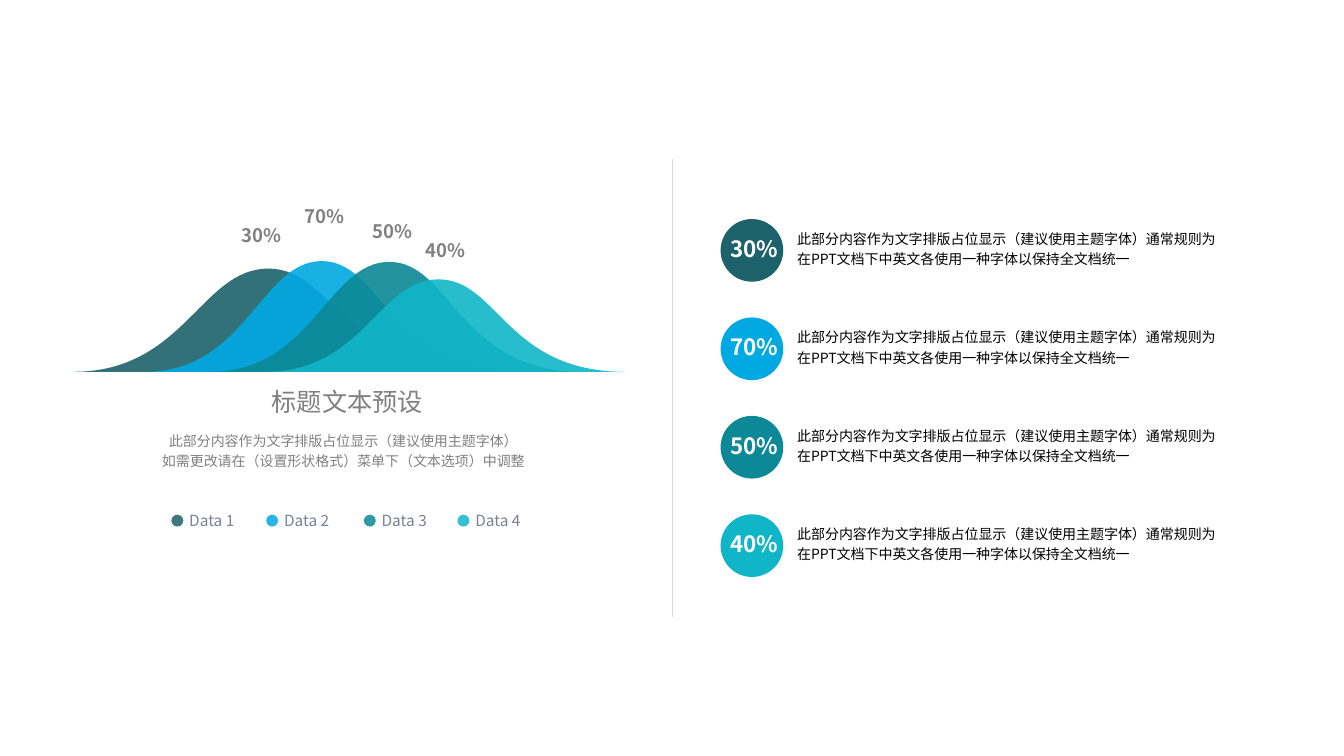
from dataclasses import dataclass

import pptx
import pptx.dml.color
import pptx.enum.shapes
import pptx.enum.text
import pptx.oxml
import pptx.oxml.ns
import pptx.util

Cm = pptx.util.Cm
qn = pptx.oxml.ns.qn
ALIGN = pptx.enum.text.PP_ALIGN
OVAL = pptx.enum.shapes.MSO_SHAPE.OVAL


@dataclass(frozen=True)
class Theme:
    font: str = "Noto Sans CJK SC"
    series: tuple = ("1D626A", "00A9E2", "0C8896", "10B6C8")
    grey: str = "808080"
    legend: str = "768394"
    black: str = "000000"
    white: str = "FFFFFF"
    rule: str = "D9D9D9"
    title_size: float = 18
    badge_size: float = 16
    peak_size: float = 13.3
    legend_size: float = 11
    body_size: float = 10


THEME = Theme()
SHARES = ("30%", "70%", "50%", "40%")
INTRO = "此部分内容作为文字排版占位显示（建议使用主题字体）\v如需更改请在（设置形状格式）菜单下（文本选项）中调整"
DETAIL = "此部分内容作为文字排版占位显示（建议使用主题字体）通常规则为在PPT文档下中英文各使用一种字体以保持全文档统一"

# Left foot, peak, right foot and height of each hill; label left and top (cm)
HILLS = (
    (0.70, 5.61, 10.89, 2.60, 4.69, 0.51),
    (2.51, 6.96, 11.75, 2.79, 6.27, 0.03),
    (4.16, 8.66, 13.51, 2.77, 7.98, 0.41),
    (5.53, 9.90, 14.60, 2.33, 9.32, 0.89),
)
LEGEND_LEFTS = (3.17, 5.56, 8.02, 10.38)


def rgb(color):
    return pptx.dml.color.RGBColor.from_string(color)


def element(tag, attributes=""):
    return pptx.oxml.parse_xml(
        f'<a:{tag} {pptx.oxml.ns.nsdecls("a")} {attributes}/>')


def add_text(slide, box, text, size, color, bold=False, align=ALIGN.LEFT,
             wrap=False, spacing=None, tight=False):
    sp = slide.shapes.add_textbox(*map(Cm, box))
    tf = sp.text_frame
    tf.word_wrap = wrap
    if tight:
        tf.margin_left = tf.margin_right = tf.margin_top = tf.margin_bottom = 0
        tf.vertical_anchor = pptx.enum.text.MSO_ANCHOR.MIDDLE
    elif not wrap and align == ALIGN.LEFT:
        tf.margin_right = 0  # room for the share on one line
    p = tf.paragraphs[0]
    p.text = text
    p.alignment = align
    p.line_spacing = spacing
    for r in p.runs:
        r.font.size = pptx.util.Pt(size)
        r.font.bold = bold
        r.font.color.rgb = rgb(color)
        r.font.name = THEME.font
        # East Asian typeface
        latin = r.font._element.find(qn("a:latin"))
        latin.addnext(element("ea", f'typeface="{THEME.font}"'))


def paint(sp, color, opacity=100):
    sp.shadow.inherit = False
    sp.line.fill.background()
    sp.fill.solid()
    sp.fill.fore_color.rgb = rgb(color)
    if opacity < 100:
        clr = sp._element.spPr.find(".//" + qn("a:srgbClr"))
        clr.append(element("alpha", f'val="{opacity * 1000}"'))


def add_dot(slide, left, top, size, color, opacity=100):
    sp = slide.shapes.add_shape(OVAL, Cm(left), Cm(top), Cm(size), Cm(size))
    paint(sp, color, opacity)


def add_hill(slide, start, peak, end, base, height, color):
    top = base - height
    rise, fall = peak - start, end - peak
    # Two cubic curves, three points each, then the base line
    points = (
        (start + 0.57 * rise, base), (start + 0.655 * rise, top), (peak, top),
        (peak + 0.32 * fall, top), (peak + 0.365 * fall, base), (end, base),
        (start, base),
    )
    fb = slide.shapes.build_freeform(Cm(start), Cm(base))
    fb.add_line_segments([(Cm(x), Cm(y)) for x, y in points], close=True)
    sp = fb.convert_to_shape()

    # Turn the first six segments into curves
    segments = list(sp._element.iter(qn("a:lnTo")))
    for i in (0, 3):
        curve = element("cubicBezTo")
        segments[i].addprevious(curve)
        for segment in segments[i:i + 3]:
            curve.append(segment[0])
            segment.getparent().remove(segment)
    paint(sp, color, 90)


def add_chart_panel(slide, left, top, width):
    # Heading and introduction
    add_text(slide, (left, top + 5.69, width, 1.47), INTRO, THEME.body_size,
             THEME.grey, align=ALIGN.CENTER, wrap=True, spacing=1.2)
    add_text(slide, (left + 5.42, top + 4.62, 4.37, 1.02), "标题文本预设",
             THEME.title_size, THEME.grey, align=ALIGN.CENTER)

    # Overlapping hills
    for (start, peak, end, height, _, _), color in zip(HILLS, THEME.series):
        add_hill(slide, left + start, left + peak, left + end,
                 top + 4.37, height, color)

    # Peak labels
    for (*_, x, y), share in zip(HILLS, SHARES):
        add_text(slide, (left + x, top + y, 1.47, 0.84), share,
                 THEME.peak_size, THEME.grey, bold=True)

    # Legend
    for i, (x, color) in enumerate(zip(LEGEND_LEFTS, THEME.series), 1):
        add_dot(slide, left + x, top + 7.97, 0.3, color, 85)
        add_text(slide, (left + x + 0.41, top + 7.88, 1.22, 0.48), f"Data {i}",
                 THEME.legend_size, THEME.legend, align=ALIGN.CENTER, tight=True)


def add_divider(slide, x, top, height):
    line = slide.shapes.add_connector(pptx.enum.shapes.MSO_CONNECTOR.STRAIGHT,
                                      Cm(x), Cm(top), Cm(x), Cm(top + height))
    line.line.color.rgb = rgb(THEME.rule)
    line.line.width = pptx.util.Pt(0.5)
    line._element.spPr.append(element("effectLst"))


def add_detail_list(slide, left, top, width, height):
    badge = 1.58
    pitch = (height - badge) / (len(SHARES) - 1)
    for i, (share, color) in enumerate(zip(SHARES, THEME.series)):
        y = top + i * pitch
        add_text(slide, (left + 1.68, y + 0.08, width - 1.68, 1.47), DETAIL,
                 THEME.body_size, THEME.black, wrap=True, spacing=1.2)
        add_dot(slide, left, y, badge, color)
        add_text(slide, (left, y + 0.28, 1.65, 0.94), share,
                 THEME.badge_size, THEME.white, bold=True)


def main():
    prs = pptx.Presentation()
    prs.slide_width, prs.slide_height = Cm(33.87), Cm(19.05)
    slide = prs.slides.add_slide(prs.slide_layouts[6])
    add_chart_panel(slide, 1.15, 5, 15)
    add_divider(slide, 16.94, 4.02, 11.53)
    add_detail_list(slide, 18.16, 5.52, 13.06, 9.02)
    prs.save("out.pptx")


if __name__ == "__main__":
    main()
